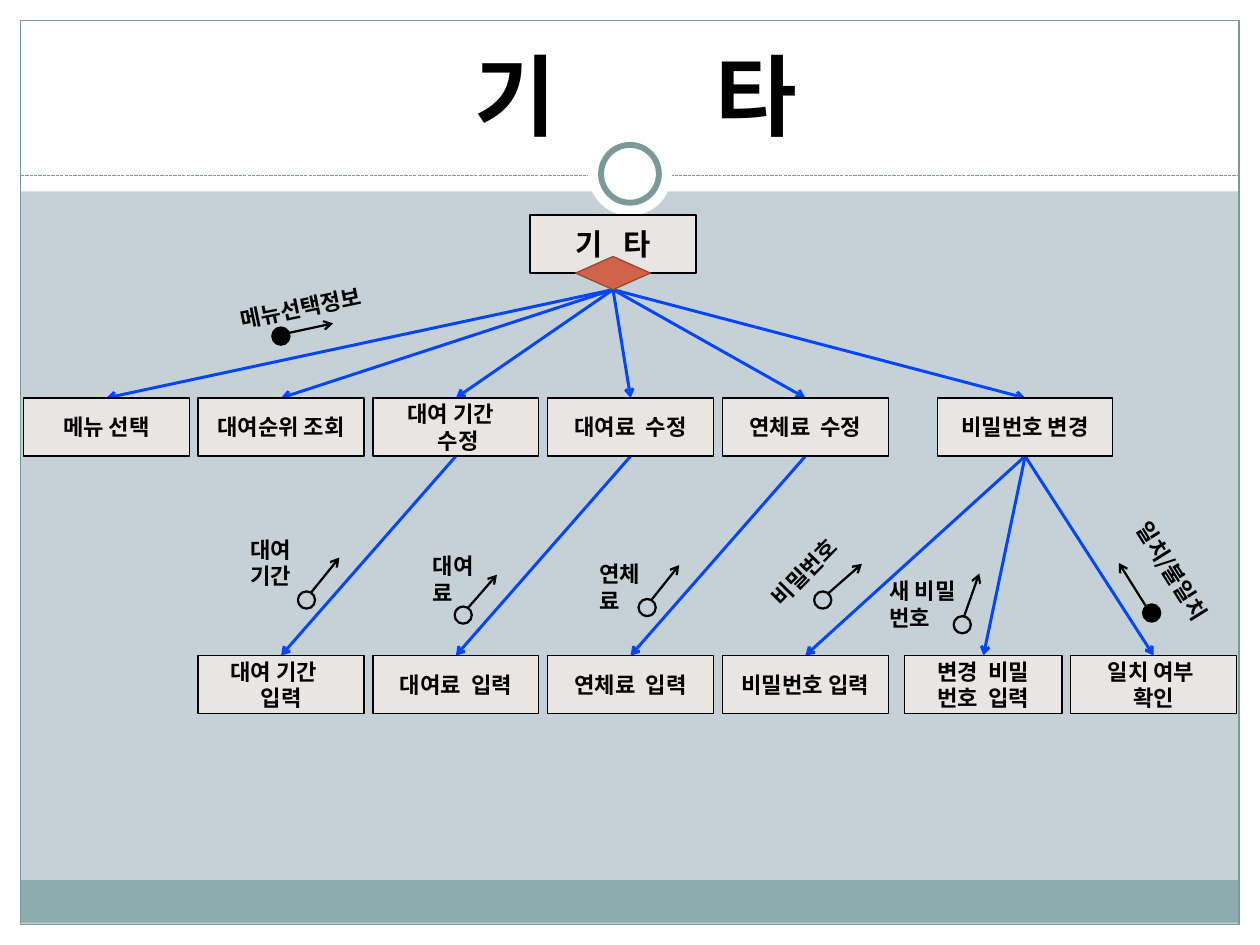
from lxml.etree import SubElement
from pptx import Presentation
from pptx.dml.color import RGBColor
from pptx.enum.dml import MSO_LINE as Dash
from pptx.enum.shapes import MSO_CONNECTOR as Wire, MSO_SHAPE as Form
from pptx.enum.text import MSO_ANCHOR as Anchor, MSO_AUTO_SIZE as Fit, PP_ALIGN as Align
from pptx.oxml.ns import qn
from pptx.util import Cm, Pt

FONT = "Noto Sans CJK KR"
WHITE, BLACK, TEAL, BLUE = "FFFFFF", "000000", "7C999A", "0046FF"
SLIDE = (0, 0, 30.07, 22.56)
TITLE = (1.14, 1.17, 28.07, 2.49)
PANEL = (0.5, 4.5, 29.1, 16.5)
BOX_W, BOX_H, STEP = 3.96, 1.39, 4.17
MENU_TOP, INPUT_TOP = 5.0, 11.15

MENU = [
    ("메뉴 선택", 0.06, BOX_W),
    ("대여순위 조회", 0.06 + STEP, BOX_W),
    ("대여 기간  \n 수정", 0.06 + 2 * STEP, BOX_W),
    ("대여료  수정", 0.06 + 3 * STEP, BOX_W),
    ("연체료  수정", 0.06 + 4 * STEP, BOX_W),
    ("비밀번호 변경", 21.88, STEP),
]
INPUTS = [
    ("대여 기간   \n입력", 0.06 + STEP, BOX_W, 2),
    ("대여료  입력", 0.06 + 2 * STEP, BOX_W, 3),
    ("연체료  입력", 0.06 + 3 * STEP, BOX_W, 4),
    ("비밀번호 입력", 0.06 + 4 * STEP, BOX_W, 5),
    ("변경  비밀\n번호  입력", 21.09, 3.76, 5),
    ("일치 여부 \n확인", 25.05, BOX_W, 5),
]
FLOWS = [
    ("메뉴선택정보", (4.96, 2.38, 3.66, 0.89), 348.4, (6.0, 3.32), (6.38, 3.45), (7.45, 3.22), BLACK),
    ("대여\n기간", (5.22, 8.17, 2.18, 1.55), 0, (6.61, 9.62), (6.92, 9.65), (7.6, 8.81), None),
    ("대여\n료", (9.58, 8.56, 2.72, 1.55), 0, (10.35, 9.98), (10.68, 10), (11.36, 9.22), None),
    ("연체\n료", (13.55, 8.76, 2.72, 1.55), 0, (14.74, 9.8), (15.04, 9.83), (15.71, 8.99), None),
    ("비밀번호", (17.43, 8.61, 2.72, 0.89), 314.5, (18.93, 9.62), (19.26, 9.67), (20.07, 8.96), None),
    ("새 비밀\n번호", (20.48, 9.17, 2.31, 1.55), 0, (22.26, 10.21), (22.51, 10.21), (22.87, 9.19), None),
    ("일치/불일치", (25.74, 8.99, 3.86, 0.89), 57.8, (26.78, 9.93), (27.06, 10.31), (26.2, 8.94), BLACK),
]


def color(value):
    """Turn a hex string into a colour."""
    return RGBColor.from_string(value)


def write(frame, text, size=15, align=Align.LEFT, anchor=Anchor.TOP, gap=0):
    """Fill a text frame, widening each space by gap points."""
    frame.word_wrap = True
    frame.vertical_anchor = anchor
    for index, line in enumerate(text.split("\n")):
        para = frame.paragraphs[0] if index == 0 else frame.add_paragraph()
        para.alignment = align
        for piece in line.replace(" ", "\t \t").split("\t") if gap else [line]:
            span = para.add_run()
            span.text = piece
            span.font.name, span.font.size, span.font.bold = FONT, Pt(size), True
            span.font.color.rgb = color(BLACK)
            props = span.font._element
            SubElement(props, qn("a:ea")).set("typeface", FONT)
            if piece == " ":
                props.set("spc", str(round(gap * 100)))


def shape(parts, form, box, fill=None, line=None, width=0.9):
    """Add a flat preset shape."""
    item = parts.add_shape(form, *map(Cm, box))
    item.shadow.inherit = False
    if fill:
        item.fill.solid()
        item.fill.fore_color.rgb = color(fill)
    else:
        item.fill.background()
    if line:
        item.line.color.rgb = color(line)
        item.line.width = Pt(width)
    else:
        item.line.fill.background()
    return item


def connect(parts, start, end, line, width, dash=None):
    """Add a dashed rule, or an arrow when no dash is given."""
    wire = parts.add_connector(Wire.STRAIGHT, *map(Cm, start + end))
    wire.line.color.rgb = color(line)
    wire.line.width = Pt(width)
    if dash:
        wire.line.dash_style = dash
    else:
        SubElement(wire.line._get_or_add_ln(), qn("a:tailEnd")).set("type", "arrow")
    SubElement(wire._element.spPr, qn("a:effectLst"))


def draw_frame(page, box):
    """Draw the white margins, header, footer band and ring."""
    left, top, width, height = box
    edge, head, rule = 0.5, 4.57, 4.19
    middle = left + width / 2
    inner = width - 2 * edge
    parts = page.shapes
    for margin in [
        (left, top + height - edge, width, edge),
        (left, top, width, head),
        (left, top, edge, height),
        (left + width - edge, top, edge, height),
    ]:
        shape(parts, Form.RECTANGLE, margin, WHITE)
    shape(parts, Form.RECTANGLE, (left + edge, top + 21.01, inner, 1.02), "8CADAE")
    shape(parts, Form.RECTANGLE, (left + edge, top + edge, inner, height - 2 * edge + 0.01), line=TEAL, width=0.75)
    connect(parts, (left + edge, top + rule), (left + width - edge, top + rule), TEAL, 0.75, Dash.SQUARE_DOT)
    for size, line in [(2.0, None), (1.38, TEAL)]:
        shape(parts, Form.OVAL, (middle - size / 2, top + 4.15 - size / 2, size, size), WHITE, line, 4)


def draw_title(page, box):
    """Place the title above the frame."""
    title = page.shapes.title
    title.left, title.top, title.width, title.height = map(Cm, box)
    frame = title.text_frame
    frame.auto_size = Fit.NONE
    frame.margin_left = frame.margin_right = Cm(0.3)
    frame.margin_top = frame.margin_bottom = Cm(0.15)
    write(frame, "기 타", size=60, align=Align.CENTER, anchor=Anchor.BOTTOM, gap=94)
    title._element.getparent().append(title._element)


def draw_module(page, box, text, **style):
    """Draw one module box with its caption."""
    item = shape(page.shapes, Form.RECTANGLE, box, "E8E5E2", BLACK)
    write(item.text_frame, text, align=Align.CENTER, anchor=Anchor.MIDDLE, **style)


def draw_tree(page, box):
    """Draw the root, the menu row, the input row and their arrows."""
    left, top = box[:2]
    root_left, root_top = left + 12.15, top + 0.63
    middle, root_bottom = root_left + BOX_W / 2, root_top + BOX_H
    gem_w, gem_h = 1.78, 0.79
    menu_top, input_top = top + MENU_TOP, top + INPUT_TOP
    centers = [left + x + width / 2 for _, x, width in MENU]
    for center in centers:
        connect(page.shapes, (middle, root_bottom + gem_h / 2), (center, menu_top), BLUE, 2)
    for _, x, width, parent in INPUTS:
        connect(page.shapes, (centers[parent], menu_top + BOX_H), (left + x + width / 2, input_top), BLUE, 2)
    draw_module(page, (root_left, root_top, BOX_W, BOX_H), "기 타", size=20, gap=9)
    gem = (middle - gem_w / 2, root_bottom - gem_h / 2, gem_w, gem_h)
    shape(page.shapes, Form.DIAMOND, gem, "D16349", "9B4936")
    for text, x, width in MENU:
        draw_module(page, (left + x, menu_top, width, BOX_H), text)
    for text, x, width, _ in INPUTS:
        draw_module(page, (left + x, input_top, width, BOX_H), text)


def draw_flows(page, box):
    """Draw each data flow label with its circle and arrow."""
    left, top = box[:2]
    for text, (x, y, width, height), turn, spot, start, end, fill in FLOWS:
        label = page.shapes.add_textbox(Cm(left + x), Cm(top + y), Cm(width), Cm(height))
        label.rotation = turn
        write(label.text_frame, text)
        label.text_frame.auto_size = Fit.SHAPE_TO_FIT_TEXT
        spot, start, end = [(left + px, top + py) for px, py in (spot, start, end)]
        parts = page.shapes.add_group_shape().shapes
        shape(parts, Form.FLOWCHART_CONNECTOR, spot + (0.41, 0.41), fill, BLACK, 1.5)
        connect(parts, start, end, BLACK, 1.5)


def main():
    """Build the slide and save it."""
    deck = Presentation()
    deck.slide_width, deck.slide_height = map(Cm, SLIDE[2:])
    page = deck.slides.add_slide(deck.slide_layouts[5])
    page.background.fill.solid()
    page.background.fill.fore_color.rgb = color("C5D1D7")
    draw_frame(page, SLIDE)
    draw_tree(page, PANEL)
    draw_title(page, TITLE)
    draw_flows(page, PANEL)
    deck.save("out.pptx")


if __name__ == "__main__":
    main()
